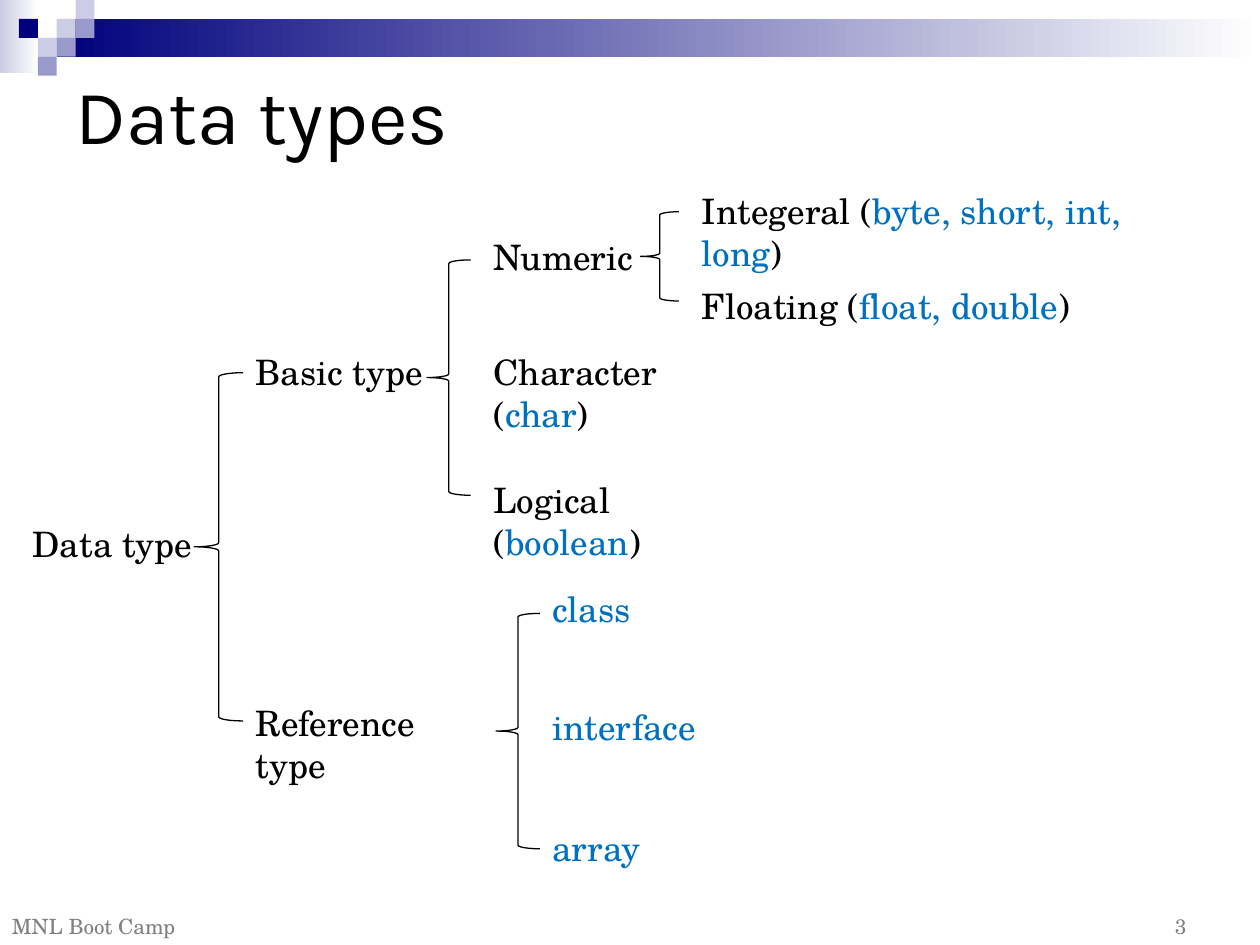
from dataclasses import dataclass

from pptx import Presentation
from pptx.dml.color import RGBColor as Rgb
from pptx.enum.shapes import MSO_SHAPE as Kind
from pptx.enum.text import MSO_ANCHOR as Anchor, PP_ALIGN as Align
from pptx.util import Pt


@dataclass(frozen=True)
class Theme:
    """Colours, fonts and type sizes of the deck."""
    ink: str = "000000"
    key: str = "0070C0"
    grey: str = "808080"
    navy: str = "00007D"
    mid: str = "9999CC"
    pale: str = "CCCCE6"
    white: str = "FFFFFF"
    head: str = "Karla"
    body: str = "TeX Gyre Schola"
    big: int = 44
    base: int = 20
    small: int = 12


T = Theme()


def write(frame, words, size=T.base, font=T.body, ink=T.ink,
          align=Align.LEFT, anchor=Anchor.TOP):
    """Fill a frame, with every second part between bars in the key colour."""
    frame.word_wrap = True
    frame.vertical_anchor = anchor
    para = frame.paragraphs[0]
    para.alignment = align
    for i, part in enumerate(words.split("|")):
        if part:
            run = para.add_run()
            run.text = part
            run.font.size = Pt(size)
            run.font.name = font
            run.font.color.rgb = Rgb.from_string(T.key if i % 2 else ink)


def label(slide, box, words, **style):
    """Add a text box."""
    shape = slide.shapes.add_textbox(*map(Pt, box))
    write(shape.text_frame, words, **style)


def block(shapes, box, *inks):
    """Add a rectangle with a plain fill or a two-colour fade."""
    shape = shapes.add_shape(Kind.RECTANGLE, *map(Pt, box))
    shape.shadow.inherit = False
    shape.line.fill.background()
    if len(inks) == 1:
        shape.fill.solid()
        shape.fill.fore_color.rgb = Rgb.from_string(inks[0])
    else:
        shape.fill.gradient()
        shape.fill.gradient_angle = 0
        for stop, ink in zip(shape.fill.gradient_stops, inks):
            stop.color.rgb = Rgb.from_string(ink)


def banner(slide, box):
    """Draw the fading bar and its mosaic of square tiles."""
    left, top, width, height = box
    side = height / 4
    shapes = slide.shapes.add_group_shape().shapes
    block(shapes, (left, top, 22, height - 1.5), T.pale, T.white)
    block(shapes, (left + 3 * side, top + side, width - 3 * side, 2 * side),
          T.navy, T.white)
    tiles = [(3, 1, T.pale), (4, 0, T.pale), (4, 1, T.mid), (2, 2, T.pale),
             (1, 1, T.navy), (3, 2, T.mid), (2, 3, T.mid)]
    for col, row, ink in tiles:
        block(shapes, (left + col * side, top + row * side, side, side), ink)


def title(slide, box, words):
    """Move and format the title placeholder."""
    shape = slide.shapes.title
    shape.left, shape.top, shape.width, shape.height = map(Pt, box)
    write(shape.text_frame, words, size=T.big, font=T.head,
          anchor=Anchor.MIDDLE)


def branch(slide, box, gap, leaves):
    """Draw a left brace in the box and its leaves to the right."""
    left, top, width, height = box
    brace = slide.shapes.add_shape(Kind.LEFT_BRACE, *map(Pt, box))
    brace.shadow.inherit = False
    brace.fill.background()
    brace.line.color.rgb = Rgb.from_string(T.ink)
    brace.line.width = Pt(0.75)
    for drop, span, words in leaves:
        label(slide, (left + width + gap, top + drop, span, 31.5), words)


def tree(slide, box):
    """Lay out the tree of data types."""
    left, top, width, height = box
    label(slide, (left, top + 190, 133, 31.5), "Data type")
    branches = [
        ((99.5, 108, 28, 199), 0, [
            (-16.5, 119, "Basic type"), (184.5, 148, "Reference type")]),
        ((232.5, 43.5, 25, 134.5), 6, [
            (-17.5, 96.5, "Numeric"), (48, 153.5, "Character (|char|)"),
            (121.5, 164, "Logical (|boolean|)")]),
        ((354.5, 16, 22, 51), 6, [
            (-16, 294.5, "Integeral (|byte, short, int, long|)"),
            (38, 266.5, "Floating (|float, double|)")]),
        ((272, 245.5, 25, 134.5), 0, [
            (-18.5, 96.5, "|class"), (49, 96.5, "|interface"),
            (118, 96.5, "|array")]),
    ]
    for (x, y, wide, high), gap, leaves in branches:
        branch(slide, (left + x, top + y, wide, high), gap, leaves)


def footer(slide, box, name, page):
    """Place the course name at the left and the page at the right."""
    left, top, width, height = box
    style = dict(size=T.small, ink=T.grey, anchor=Anchor.BOTTOM)
    label(slide, (left, top, 113, height), name, align=Align.CENTER, **style)
    label(slide, (left + width - 168, top, 168, height), page,
          align=Align.RIGHT, **style)


def main():
    """Build and save the deck."""
    deck = Presentation()
    deck.slide_width, deck.slide_height = Pt(720), Pt(540)
    slide = deck.slides.add_slide(deck.slide_layouts[5])
    banner(slide, (0, 0, 720, 43.2))
    title(slide, (36, 36, 648, 58.5), "Data types")
    footer(slide, (-3, 514, 688, 26), "MNL Boot Camp", "3")
    tree(slide, (11.5, 105, 677, 395))
    deck.save("out.pptx")


if __name__ == "__main__":
    main()
